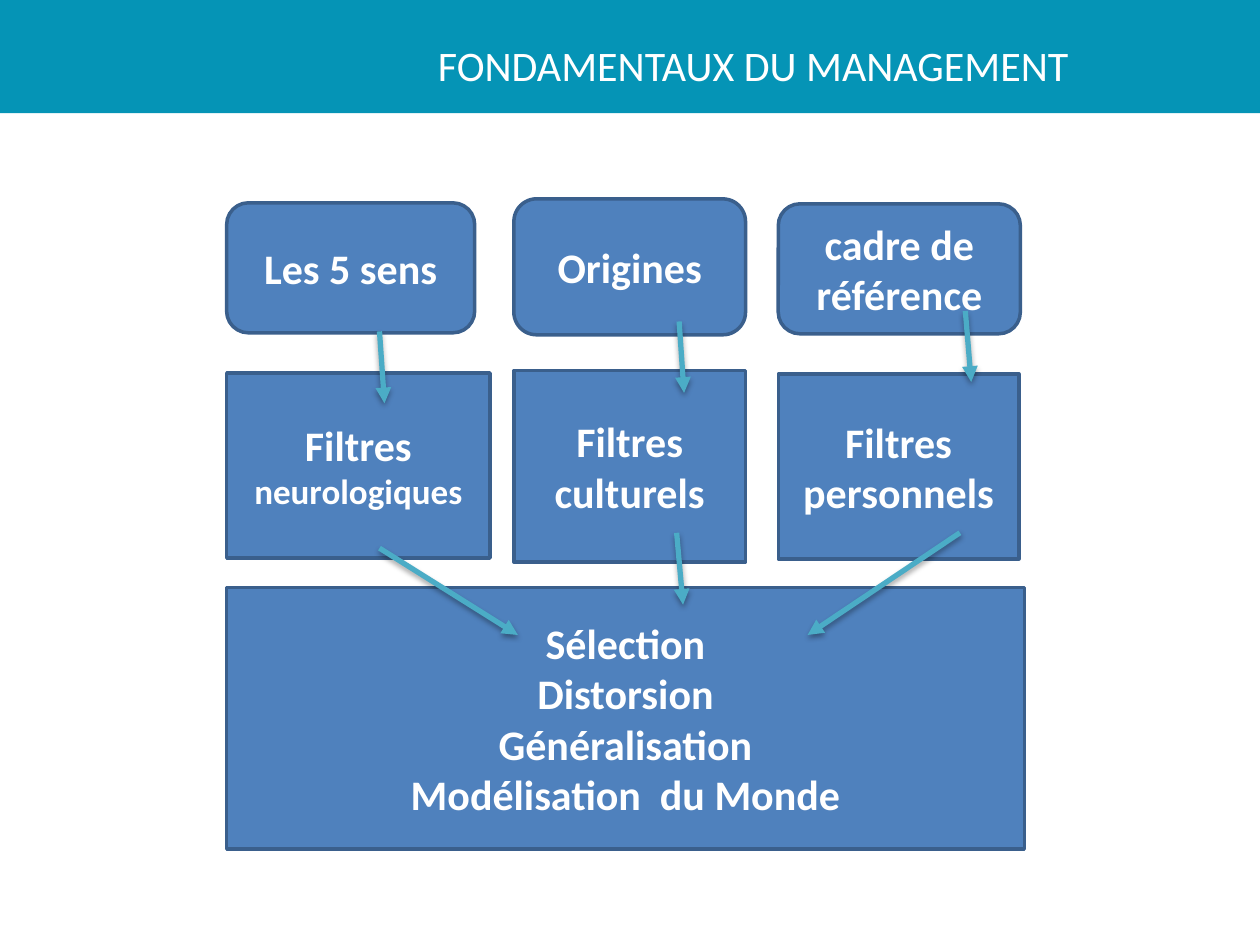
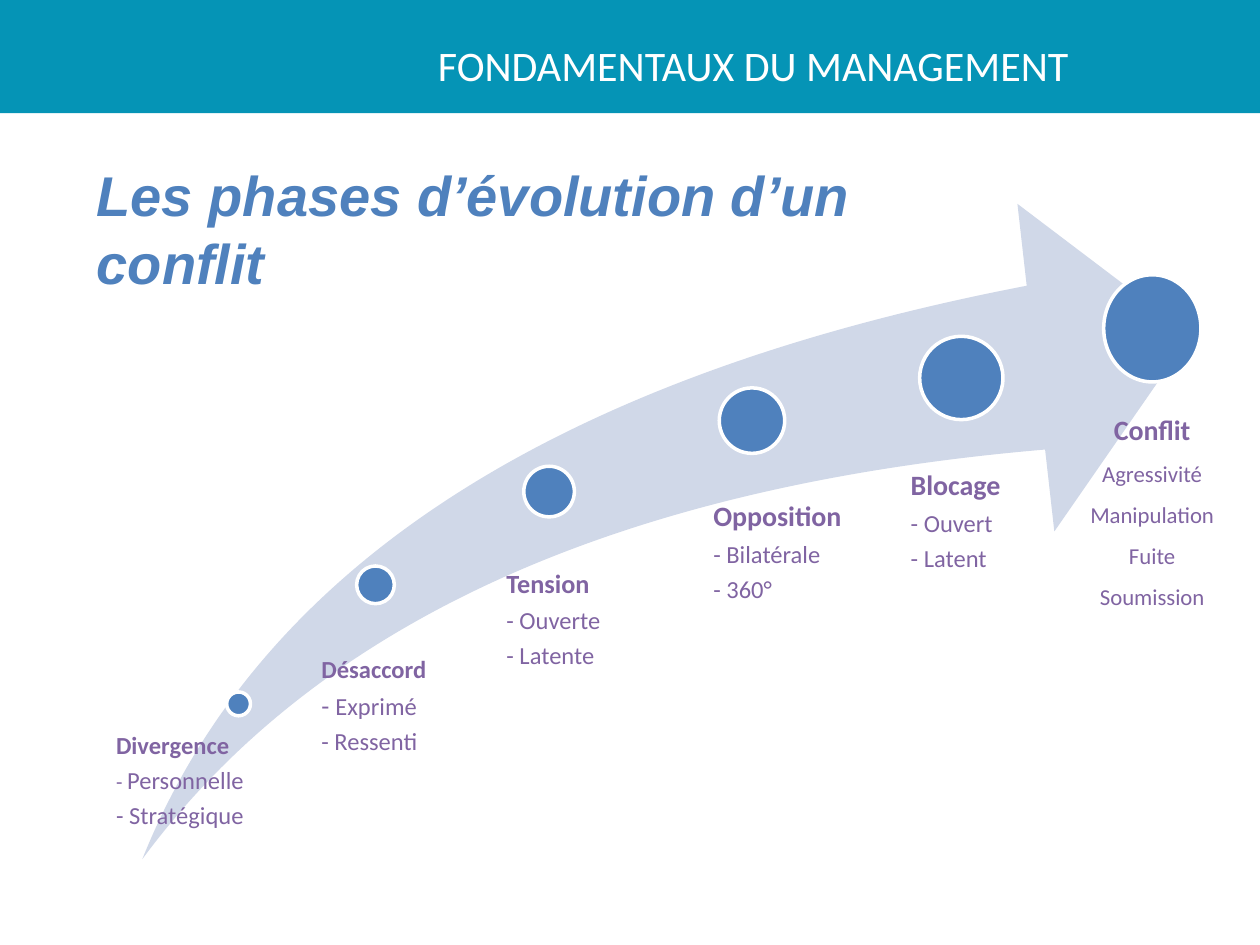
from lxml import etree
from pptx import Presentation, util as u
from pptx.dml.color import RGBColor
from pptx.enum import shapes, text
from pptx.oxml import parse_xml
from pptx.oxml.ns import nsdecls

COLORS = {"band": "0594B6", "white": "FFFFFF", "blue": "4F81BD", "edge": "3A5F8C",
          "arrow": "4BACC6", "swoosh": "D0D8E8", "violet": "8064A2"}
HEADER = "FONDAMENTAUX DU MANAGEMENT"

# Slide 1: each column is left, then (paragraphs, top, width, height) for source and filter
FILTER_COLUMNS = [
    (4.57, (["Les 5 sens"], 4.09, 5.0, 2.62),
     ([[("Filtres ", {}), ("neurologiques", {"size": 20})]], 7.52, 5.31, 3.73)),
    (10.36, (["Origines"], 4.01, 4.67, 2.74),
     (["Filtres culturels"], 7.47, 4.67, 3.86)),
    (15.69, (["cadre de référence"], 4.11, 4.88, 2.62),
     (["Filtres personnels"], 7.54, 4.85, 3.73)),
]
WORLD_MODEL = ["Sélection", "Distorsion", "Généralisation", "Modélisation  du Monde"]
FLOWS = [
    ((7.65, 6.68), (7.75, 8.13)), ((19.46, 6.27), (19.58, 7.7)),
    ((13.69, 6.48), (13.79, 7.92)), ((7.65, 11.05), (10.44, 12.8)),
    ((13.64, 10.74), (13.77, 12.19)), ((19.35, 10.74), (16.28, 12.8)),
]

# Slide 2: name, name size, details, label (left, top), dot (centre x, centre y, width, height)
PHASES_TITLE = "Les phases d’évolution d’un conflit"
PHASES = [
    ("Divergence", 14, [[("- ", {"size": 12}), ("Personnelle", {})], "- Stratégique"],
     (2.34, 14.78), (4.81, 14.19, 0.48, 0.48)),
    ("Désaccord", 14, [[("- ", {"size": 15}), ("Exprimé", {})], "- Ressenti"],
     (6.48, 13.26), (7.57, 11.79, 0.76, 0.76)),
    ("Tension", 15, ["- Ouverte", "- Latente"],
     (10.21, 11.51), (11.07, 9.91, 1.02, 1.02)),
    ("Opposition", 16, ["- Bilatérale", "- 360°"],
     (14.38, 10.13), (15.16, 8.48, 1.32, 1.32)),
    ("Blocage", 16, ["- Ouvert", "- Latent"],
     (18.36, 9.5), (19.38, 7.62, 1.68, 1.68)),
]
CONFLICT = ("Conflit", ["Agressivité", "Manipulation", "Fuite", "Soumission"])
CONFLICT_DOT = (23.23, 6.62, 1.96, 2.16)


def cm(*lengths):
    return [u.Cm(length) for length in lengths]


def color(name):
    return RGBColor.from_string(COLORS[name])


def write(frame, paragraphs, first=True, size=24, ink="white", bold=False, italic=False,
          font="Calibri", align="CENTER", anchor="MIDDLE", spacing=None, after=0, insets=None):
    """Write paragraphs; each is a string or a list of (text, overrides)."""
    if first:
        frame.word_wrap = True
        frame.vertical_anchor = getattr(text.MSO_ANCHOR, anchor)
        if insets is not None:
            frame.margin_left = frame.margin_right = u.Cm(insets)
            frame.margin_top = frame.margin_bottom = u.Cm(insets)
    for index, content in enumerate(paragraphs):
        paragraph = frame.paragraphs[0] if first and index == 0 else frame.add_paragraph()
        paragraph.alignment = getattr(text.PP_ALIGN, align)
        paragraph.space_after = u.Pt(after)
        if spacing:
            paragraph.line_spacing = spacing
        for words, override in [(content, {})] if isinstance(content, str) else content:
            run = paragraph.add_run()
            run.text = words
            run.font.name = font
            run.font.size = u.Pt(override.get("size", size))
            run.font.bold, run.font.italic = bold, italic
            run.font.color.rgb = color(ink)


def add_box(slide, kind, area, fill, edge=None):
    box = slide.shapes.add_shape(getattr(shapes.MSO_SHAPE, kind), *cm(*area))
    box.shadow.inherit = False
    box.fill.solid()
    box.fill.fore_color.rgb = color(fill)
    if edge:
        box.line.color.rgb = color(edge)
        box.line.width = u.Pt(2)
    else:
        box.line.fill.background()
    return box


def add_text(slide, area, paragraphs, **style):
    frame = slide.shapes.add_textbox(*cm(*area)).text_frame
    write(frame, paragraphs, **style)
    return frame


def add_dot(slide, x, y, width, height):
    add_box(slide, "OVAL", (x - width / 2, y - height / 2, width, height), "blue", "white")


def add_flow(slide, start, end):
    flow = slide.shapes.add_connector(shapes.MSO_CONNECTOR.STRAIGHT, *cm(*start, *end))
    flow.line.color.rgb = color("arrow")
    flow.line.width = u.Pt(3)
    head = etree.SubElement(flow.line._get_or_add_ln(),
                            "{http://schemas.openxmlformats.org/drawingml/2006/main}tailEnd")
    head.set("type", "triangle")
    flow._element.spPr.append(parse_xml(
        f'<a:effectLst {nsdecls("a")}><a:outerShdw blurRad="40000" dist="23000" dir="5400000" '
        'rotWithShape="0"><a:srgbClr val="000000"><a:alpha val="35000"/></a:srgbClr>'
        '</a:outerShdw></a:effectLst>'))


def add_page(deck):
    slide = deck.slides.add_slide(deck.slide_layouts[6])
    add_box(slide, "RECTANGLE", (-0.02, 0, 25.42, 2.28), "band")
    add_text(slide, (7.49, 0.33, 15.39, 1.93), [HEADER])
    return slide


def build_filters(deck):
    slide = add_page(deck)
    for left, source, perception in FILTER_COLUMNS:
        for kind, (words, top, width, height) in (("ROUNDED_RECTANGLE", source),
                                                  ("RECTANGLE", perception)):
            box = add_box(slide, kind, (left, top, width, height), "blue", "edge")
            write(box.text_frame, words, bold=True)
    world = add_box(slide, "RECTANGLE", (4.57, 11.84, 16.08, 5.28), "blue", "edge")
    write(world.text_frame, WORLD_MODEL, bold=True)
    for start, end in FLOWS:
        add_flow(slide, start, end)


def build_phases(deck):
    slide = add_page(deck)
    add_text(slide, (1.7, 3.12, 19.35, 1.6), [PHASES_TITLE], size=32, ink="blue", bold=True,
             italic=True, font="Arial", align="LEFT", anchor="TOP")
    swoosh = add_box(slide, "SWOOSH_ARROW", (2.87, 4.11, 21.13, 13.21), "swoosh")
    swoosh.adjustments[0] = swoosh.adjustments[1] = 0.25

    # Phases along the arrow
    for name, size, details, corner, dot in PHASES:
        add_dot(slide, *dot)
        style = {"ink": "violet", "align": "LEFT", "spacing": 0.9}
        label = add_text(slide, (*corner, 3.8, 2.2), [name], size=size, bold=True,
                         after=0.35 * size, anchor="TOP", insets=0, **style)
        write(label, details, first=False, size=14, after=4.9, **style)

    # Final phase
    add_dot(slide, *CONFLICT_DOT)
    name, reactions = CONFLICT
    label = add_text(slide, (21.56, 7.11, 3.33, 6.4), [name], size=16, ink="violet", bold=True)
    write(label, reactions, first=False, size=13, ink="violet", spacing=1.5)


def main():
    deck = Presentation()
    deck.slide_width, deck.slide_height = cm(25.4, 19.05)
    build_filters(deck)
    build_phases(deck)
    deck.save("out.pptx")


if __name__ == "__main__":
    main()
